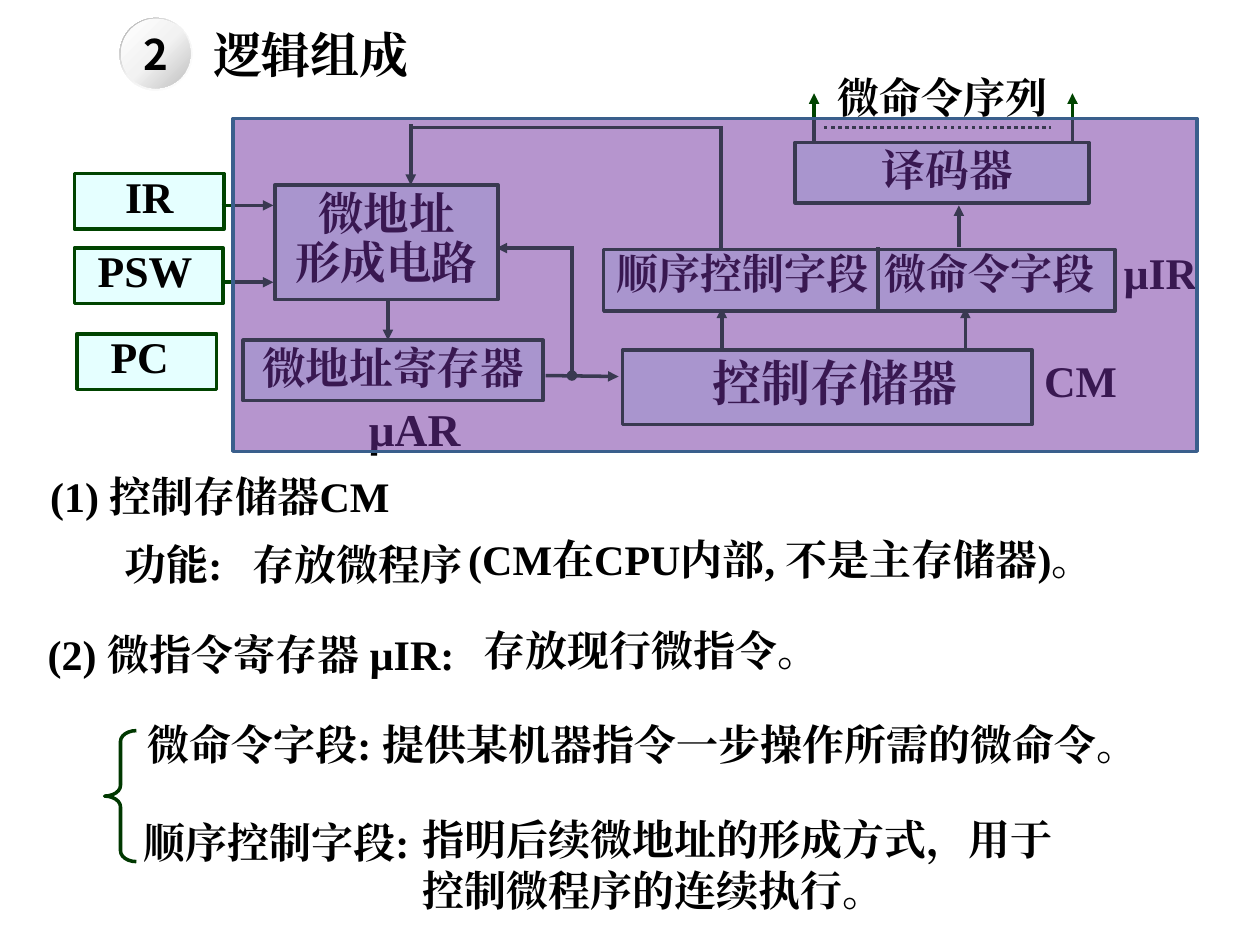
from lxml import etree
from pptx import Presentation
from pptx.dml import color
from pptx.enum import dml, shapes, text
from pptx.oxml import ns
from pptx import util as u

HUE = {"ink": "000000", "box": "E5FFFF", "edge": "004400", "brace": "003800",
       "veil": "7030A0", "rim": "3A5F8C"}
FONT, ROUND = "Times New Roman", "Noto Sans CJK SC"
LEFT, MID = text.PP_ALIGN.LEFT, text.PP_ALIGN.CENTER
KIND = shapes.MSO_SHAPE

TITLE = ("逻辑组成", (4.04, 0.36, 5.79, 1.45), 28)
NOTES = [
    ("(1) 控制存储器CM", (0.76, 9.37, 9.83, 1.27)),
    ("功能:", (2.26, 10.74, 4.27, 1.27)),
    ("存放微程序", (4.85, 10.74, 7.62, 1.27)),
    ("(CM在CPU内部, 不是主存储器)。", (9.19, 10.64, 15.19, 1.27)),
    ("(2) 微指令寄存器 µIR:", (0.71, 12.55, 12.47, 1.27)),
    ("存放现行微指令。", (9.5, 12.47, 9.47, 1.27)),
    ("微命令字段:", (2.72, 14.35, 6.86, 1.27)),
    ("提供某机器指令一步操作所需的微命令。", (7.47, 14.35, 16.92, 1.27)),
    ("顺序控制字段:", (2.64, 16.33, 6.91, 1.27)),
    ("指明后续微地址的形成方式，用于控制微程序的连续执行。",
     (8.26, 16.28, 13.44, 2.31)),
]
BRACE = (2.11, 14.73, 0.64, 2.64)

UNITS = [
    ("微地址\n形成电路", (5.54, 3.73, 4.5, 2.31), 26, MID, 0.9, 0),
    ("PC", (1.55, 6.73, 2.82, 1.12), 25, LEFT, 0.8, 0.43),
    ("微地址寄存器", (4.9, 6.86, 6.05, 1.22), 25, MID, 0.9, 0),
    ("译码器", (16.03, 2.87, 5.92, 1.22), 25, MID, 0.9, 0.22),
    ("IR", (1.5, 3.5, 3.02, 1.12), 25, MID, 0.8, 0),
    ("PSW", (1.5, 5.0, 3.0, 1.12), 25, LEFT, 0.8, 0.22),
]
FIELDS = ("顺序控制字段\t微命令字段", (12.17, 5.03, 10.31, 1.24), 24, LEFT, 0.85, 0)
STOP = 5.42
STORE = (12.55, 7.06, 8.26, 1.5)
TAGS = [
    ("µAR", (6.96, 7.95, 3.38, 1.35), 26, 0.22),
    ("CM", (20.8, 7.01, 2.24, 1.32), 25, 0),
    ("微命令序列", (16.64, 1.32, 5.03, 1.27), 24, 0),
    ("µIR", (22.4, 4.83, 2.11, 1.32), 25, 0),
    ("控制存储器", (14.12, 6.99, 5.79, 1.45), 28, 0),
]

ARROWS = [
    (19.46, 7.24, 19.46, 6.2), (14.55, 7.24, 14.55, 6.2),
    (19.33, 4.98, 19.33, 4.14), (16.41, 2.84, 16.41, 1.88),
    (21.62, 2.84, 21.62, 1.88), (11.0, 7.57, 12.47, 7.59),
    (11.58, 5.0, 10.01, 5.0), (7.82, 6.07, 7.82, 6.86),
    (4.47, 4.14, 5.51, 4.14), (4.47, 5.69, 5.51, 5.69),
    (8.28, 2.51, 8.28, 3.73),
]
WIRES = [(8.28, 2.57, 14.58, 2.57), (14.53, 2.57, 14.53, 5.03)]
DOTS = (16.61, 2.57, 21.18, 2.57)
KNOT = (11.53, 7.57, 11.53, 5.0)
SPLIT = (17.7, 4.98, 17.7, 6.25)
VEIL = (4.7, 2.39, 19.43, 6.71)
BADGE = [
    (KIND.DONUT, (2.41, 0.36, 1.47, 1.47), 225,
     [(0, "FFFFFF"), (55, "F2F2F2"), (100, "A6A6A6")]),
    (KIND.OVAL, (2.44, 0.38, 1.4, 1.4), 45,
     [(0, "FFFFFF"), (51, "F2F2F2"), (100, "BFBFBF")]),
]

deck = Presentation()
deck.slide_width, deck.slide_height = u.Cm(25.4), u.Cm(19.05)
page = deck.slides.add_slide(deck.slide_layouts[5])
pool = page.shapes


def put(item, vals):
    for name, val in vals.items():
        setattr(item, name, val)


def cms(vals):
    return [u.Cm(val) for val in vals]


def rgb(name):
    return color.RGBColor.from_string(HUE[name])


def sub(node, tag, **vals):
    return etree.SubElement(node, ns.qn("a:" + tag), vals)


def write(item, words, size, align=LEFT, gap=1.0, dent=0, font=FONT,
          anchor=text.MSO_ANCHOR.TOP):
    frame = item.text_frame
    put(frame, {"text": words, "word_wrap": True, "vertical_anchor": anchor,
                "auto_size": text.MSO_AUTO_SIZE.NONE})
    for para in frame.paragraphs:
        put(para, {"alignment": align, "line_spacing": gap})
        if dent:
            para._p.get_or_add_pPr().set("marL", str(u.Cm(dent)))
        for run in para.runs:
            put(run.font, {"size": u.Pt(size), "bold": True, "name": font})
            run.font.color.rgb = rgb("ink")
            sub(run._r.get_or_add_rPr(), "ea", typeface=font)


def label(words, area, size=24, dent=0):
    write(pool.add_textbox(*cms(area)), words, size, dent=dent)


def shape(kind, area, fill=None, edge=None):
    item = pool.add_shape(kind, *cms(area))
    item.shadow.inherit = False
    if fill:
        item.fill.solid()
        item.fill.fore_color.rgb = rgb(fill)
    else:
        item.fill.background()
    if edge:
        item.line.color.rgb = rgb(edge)
        item.line.width = u.Pt(2)
    else:
        item.line.fill.background()
    return item


def unit(words, area, *style):
    item = shape(KIND.RECTANGLE, area, "box", "edge")
    write(item, words, *style)
    return item


def wire(ends, width=2, mark=None, form="triangle"):
    item = pool.add_connector(shapes.MSO_CONNECTOR.STRAIGHT, *cms(ends))
    item.line.color.rgb = rgb("edge")
    item.line.width = u.Pt(width)
    if mark:
        sub(item.line._get_or_add_ln(), mark, type=form)
    sub(item._element.spPr, "effectLst")
    return item


def shade(item, angle, stops):
    item.fill.gradient()
    grad = item._element.spPr.find(ns.qn("a:gradFill"))
    bed = grad.find(ns.qn("a:gsLst"))
    for old in list(bed):
        bed.remove(old)
    for spot, tone in stops:
        sub(sub(bed, "gs", pos=str(spot * 1000)), "srgbClr", val=tone)
    grad.find(ns.qn("a:lin")).set("ang", str(angle * 60000))


head = pool.title
put(head, dict(zip(("left", "top", "width", "height"), cms(TITLE[1]))))
write(head, TITLE[0], TITLE[2])

for note in NOTES:
    label(*note)
brace = shape(KIND.LEFT_BRACE, BRACE, edge="brace")
brace.adjustments[0] = 0.34

for row in UNITS:
    unit(*row)
for ends in ARROWS:
    wire(ends, mark="tailEnd")
for ends in WIRES:
    wire(ends)
wire(DOTS).line.dash_style = dml.MSO_LINE.ROUND_DOT
wire(KNOT, mark="headEnd", form="oval")

fields = unit(*FIELDS)
tabs = sub(fields.text_frame.paragraphs[0]._p.get_or_add_pPr(), "tabLst")
sub(tabs, "tab", pos=str(u.Cm(STOP)), algn="l")
wire(SPLIT, 2.5)
shape(KIND.RECTANGLE, STORE, "box", "edge")
for tag in TAGS:
    label(*tag)

veil = shape(KIND.RECTANGLE, VEIL, "veil", "rim")
tint = veil._element.spPr.find(ns.qn("a:solidFill"))
sub(tint[0], "alpha", val="51000")

for kind, area, angle, stops in BADGE:
    ball = shape(kind, area)
    shade(ball, angle, stops)
    if kind == KIND.DONUT:
        ball.adjustments[0] = 0.05
write(ball, "2", 24, MID, font=ROUND, anchor=text.MSO_ANCHOR.MIDDLE)

deck.save("out.pptx")
